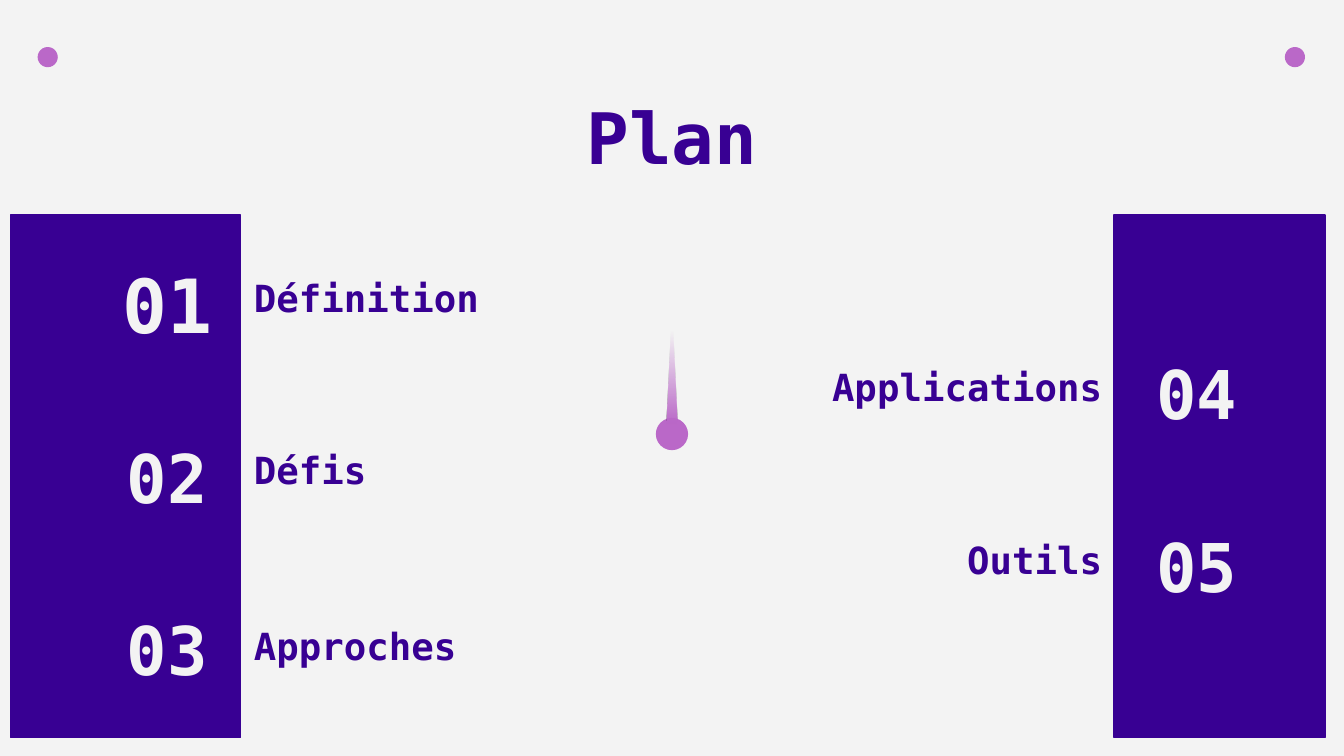
from dataclasses import dataclass

import pptx
import pptx.dml.color
import pptx.enum.shapes
import pptx.enum.text
import pptx.oxml
import pptx.oxml.ns
import pptx.util
from pptx.util import Inches

FONT = "DejaVu Sans Mono"
PURPLE, ORCHID, PALE = "380093", "BA68C8", "F3F3F3"
SHAPE = pptx.enum.shapes.MSO_SHAPE
ALIGN = pptx.enum.text.PP_ALIGN
ANCHOR = pptx.enum.text.MSO_ANCHOR


@dataclass
class Side:
    number_x: float
    label_x: float
    align: ALIGN


@dataclass
class Section:
    number: str
    label: str
    side: Side
    number_y: float
    label_y: float
    height: float = 0.56
    size: int = 36


LEFT = Side(0.78, 1.79, ALIGN.LEFT)
RIGHT = Side(8.44, 5.86, ALIGN.RIGHT)
SECTIONS = [
    Section("01", "Définition", LEFT, 1.98, 2.04, size=40),
    Section("02", "Défis", LEFT, 3.25, 3.32, height=0.59),
    Section("03", "Approches", LEFT, 4.55, 4.63),
    Section("04", "Applications", RIGHT, 2.64, 2.7),
    Section("05", "Outils", RIGHT, 3.93, 3.99),
]


def rgb(color: str) -> pptx.dml.color.RGBColor:
    return pptx.dml.color.RGBColor.from_string(color)


def add_shape(s, kind: SHAPE, x: float, y: float, w: float, h: float, color: str):
    sp = s.shapes.add_shape(kind, Inches(x), Inches(y), Inches(w), Inches(h))
    sp.shadow.inherit = False
    sp.fill.solid()
    sp.fill.fore_color.rgb = rgb(color)
    sp.line.fill.background()
    return sp


def add_bar(s, x: float, w: float) -> None:
    sp = add_shape(s, SHAPE.RECTANGLE, x, 1.6, w, 3.89, PURPLE)
    sp.line.color.rgb = rgb(PURPLE)
    sp.line.width = pptx.util.Pt(0.75)


def set_text(sp, text: str, size: int, color: str, align: ALIGN,
             anchor: ANCHOR, top: float = 0.1) -> None:
    tf = sp.text_frame
    tf.word_wrap = True
    tf.vertical_anchor = anchor
    tf.margin_left = tf.margin_right = tf.margin_bottom = Inches(0.1)
    tf.margin_top = Inches(top)
    p = tf.paragraphs[0]
    p.text = text
    p.alignment = align
    p.font.name = FONT
    p.font.size = pptx.util.Pt(size)
    p.font.bold = True
    p.font.color.rgb = rgb(color)


def add_text(s, x: float, y: float, w: float, h: float, text: str, size: int,
             align: ALIGN, top: float = 0.1) -> None:
    sp = s.shapes.add_textbox(Inches(x), Inches(y), Inches(w), Inches(h))
    set_text(sp, text, size, PURPLE, align, ANCHOR.BOTTOM, top)


def add_section(s, item: Section) -> None:
    side = item.side
    sp = add_shape(s, SHAPE.RECTANGLE, side.number_x, item.number_y, 0.93, item.height, PURPLE)
    set_text(sp, item.number, item.size, PALE, ALIGN.CENTER, ANCHOR.MIDDLE)
    add_text(s, side.label_x, item.label_y, 2.44, 0.44, item.label, 20, side.align, top=0)


def add_comet(s) -> None:
    add_shape(s, SHAPE.OVAL, 4.88, 3.11, 0.24, 0.24, ORCHID)
    tail = add_shape(s, SHAPE.ISOSCELES_TRIANGLE, 4.96, 2.29, 0.08, 0.87, ORCHID)
    tail.fill.gradient()
    tail.fill.gradient_angle = 90
    for stop, position in zip(tail.fill.gradient_stops, (0, 0.8)):
        stop.color.rgb = rgb(ORCHID)
        stop.position = position
    qn = pptx.oxml.ns.qn
    clear = list(tail._element.spPr.iter(qn("a:srgbClr")))[-1]
    clear.append(pptx.oxml.parse_xml(f'<a:alpha {pptx.oxml.ns.nsdecls("a")} val="0"/>'))


def main() -> None:
    prs = pptx.Presentation()
    prs.slide_width = Inches(10)
    prs.slide_height = Inches(10 * 9 / 16)
    s = prs.slides.add_slide(prs.slide_layouts[6])
    s.background.fill.solid()
    s.background.fill.fore_color.rgb = rgb(PALE)

    for x in (0.28, 9.56):
        add_shape(s, SHAPE.OVAL, x, 0.35, 0.15, 0.15, ORCHID)
    add_bar(s, 8.29, 1.57)
    add_bar(s, 0.08, 1.71)
    add_text(s, 0.78, 0.59, 8.44, 0.84, "Plan", 38, ALIGN.CENTER)
    for item in SECTIONS:
        add_section(s, item)
    add_comet(s)

    prs.save("out.pptx")


if __name__ == "__main__":
    main()
